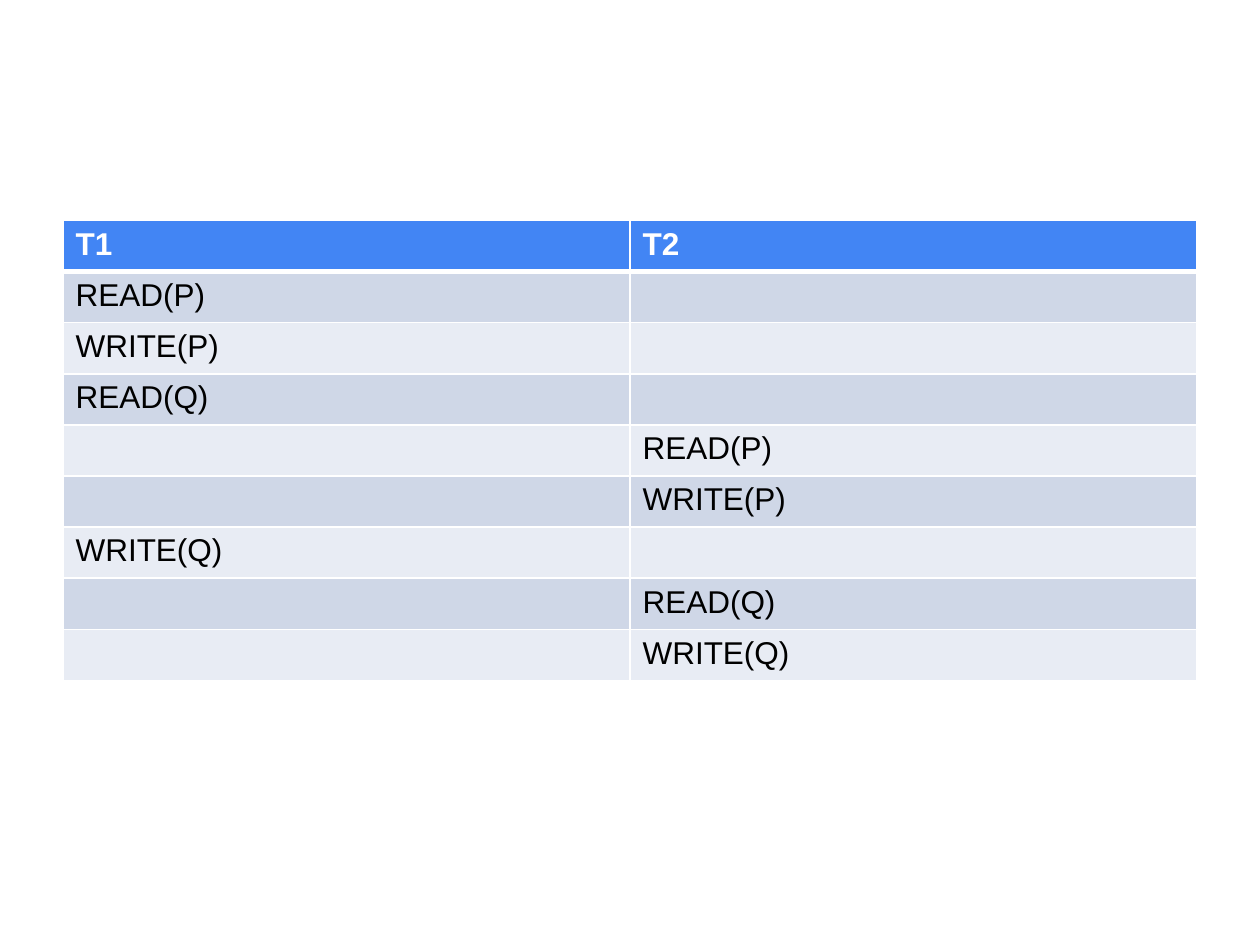
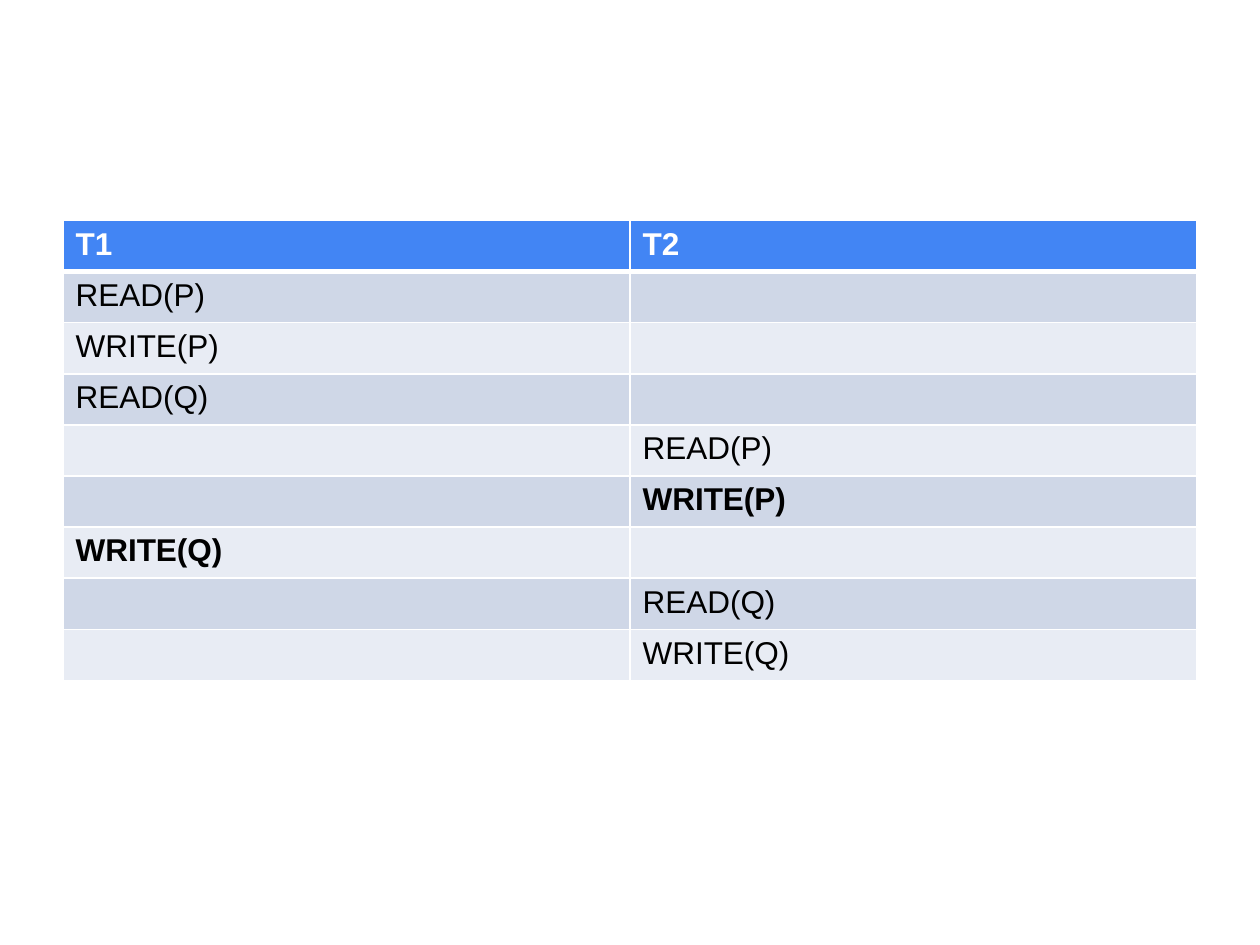
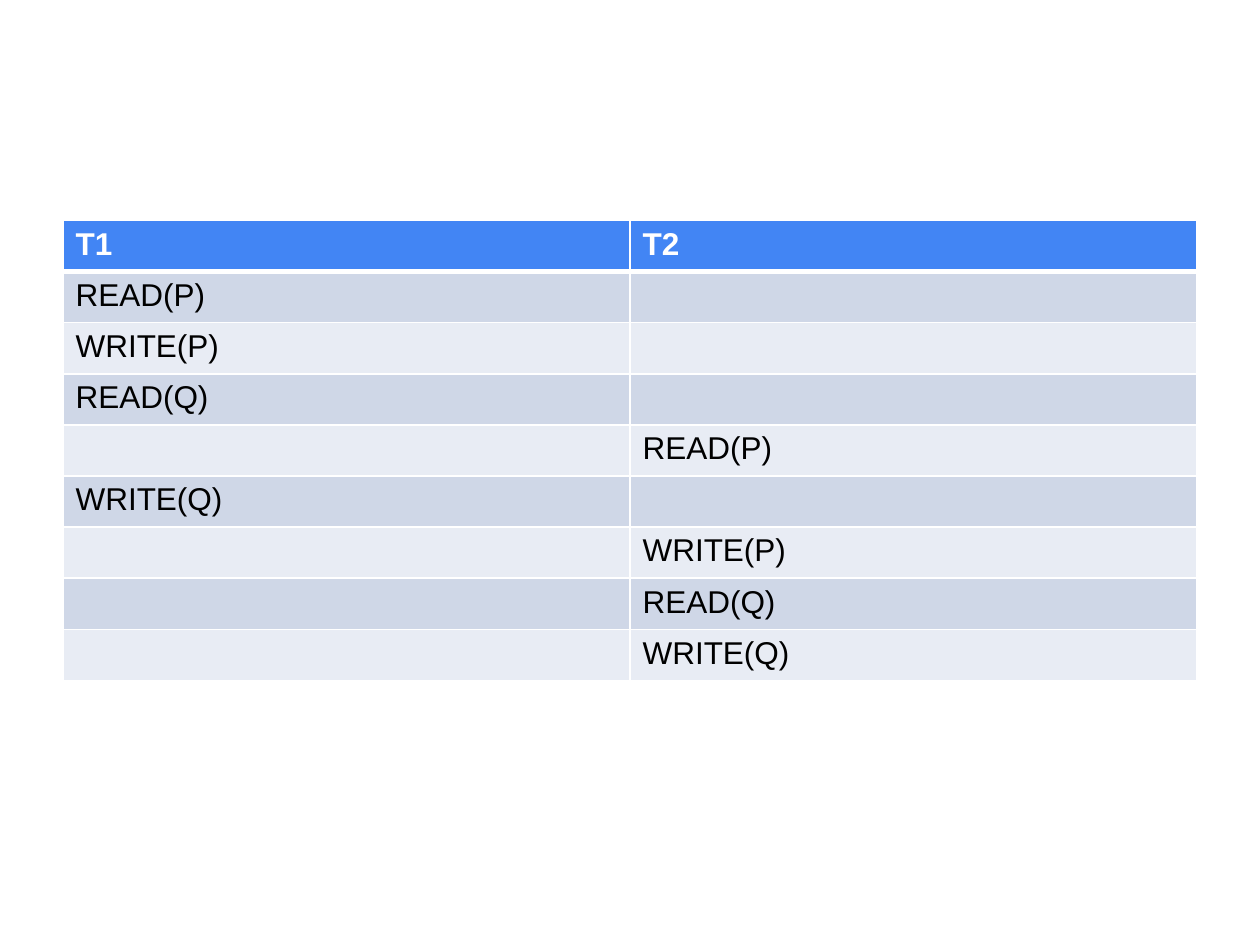
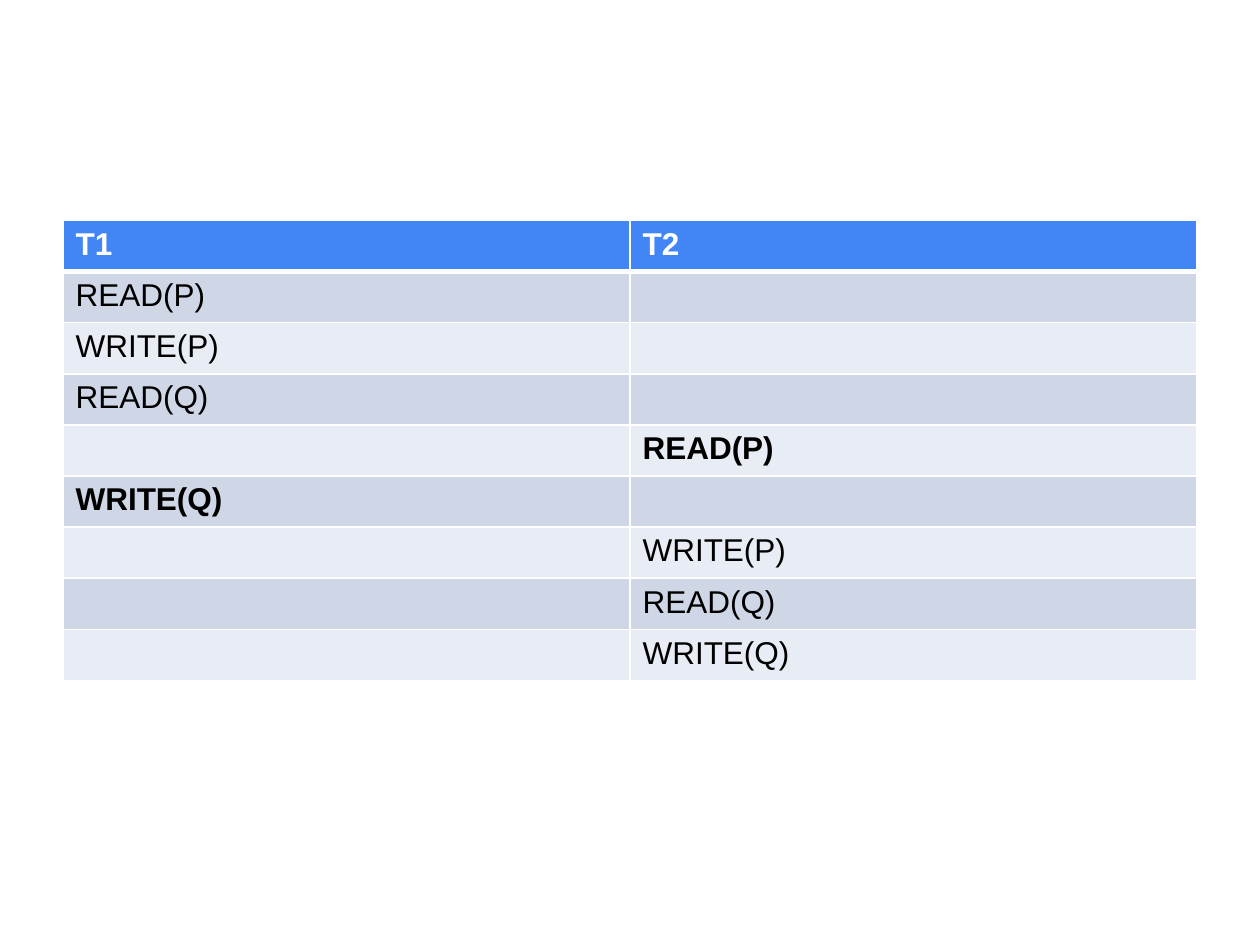
from lxml import etree
from pptx import Presentation
from pptx import util as u
from pptx.dml import color
from pptx.oxml import ns

COLOURS = {
    "header": "4285F4",
    "odd_row": "CFD7E7",
    "even_row": "E8ECF4",
    "border": "FFFFFF",
    "header_text": "FFFFFF",
    "body_text": "000000",
}
FONT = "Arial"
GRID_COLUMNS, GRID_ROWS = 40, 30
TABLE_BOX = (2, 7, 36, 14.6)
THIN, THICK = 1, 3
TRANSACTIONS = ("T1", "T2")

OPENING = [("T1", "READ(P)"), ("T1", "WRITE(P)"), ("T1", "READ(Q)"), ("T2", "READ(P)")]
CLOSING = [("T2", "READ(Q)"), ("T2", "WRITE(Q)")]
BEFORE_SWAP = OPENING + [("T2", "WRITE(P)"), ("T1", "WRITE(Q)")] + CLOSING
AFTER_SWAP = OPENING + [("T1", "WRITE(Q)"), ("T2", "WRITE(P)")] + CLOSING
SCHEDULES = [
    (BEFORE_SWAP, ()),
    (BEFORE_SWAP, (5, 6)),
    (AFTER_SWAP, ()),
    (AFTER_SWAP, (4, 5)),
]


def rgb(name):
    """Return the palette colour with the given name."""
    return color.RGBColor.from_string(COLOURS[name])


def grid_box(deck, box):
    """Turn grid columns and rows into slide lengths."""
    column, row = deck.slide_width / GRID_COLUMNS, deck.slide_height / GRID_ROWS
    return [u.Emu(round(share * unit)) for share, unit in zip(box, (column, row) * 2)]


def draw_borders(cell, top, bottom):
    """Rule the four sides of a cell, with widths in points for top and bottom."""
    properties = cell._tc.get_or_add_tcPr()
    for side, width in (("L", THIN), ("R", THIN), ("T", top), ("B", bottom)):
        line = etree.SubElement(properties, ns.qn(f"a:ln{side}"), w=str(u.Pt(width)))
        fill = etree.SubElement(line, ns.qn("a:solidFill"))
        etree.SubElement(fill, ns.qn("a:srgbClr"), val=COLOURS["border"])


def fill_cell(cell, row, words, bold):
    """Style one cell by its row and write its words."""
    header = row == 0
    draw_borders(cell, THICK if row == 1 else THIN, THICK if header else THIN)
    cell.fill.solid()
    cell.fill.fore_color.rgb = rgb("header" if header else "odd_row" if row % 2 else "even_row")
    cell.margin_left = cell.margin_right = u.Inches(0.1)
    cell.margin_top = cell.margin_bottom = u.Inches(0.05)
    if words:
        span = cell.text_frame.paragraphs[0].add_run()
        span.text = words
        span.font.name = FONT
        span.font.size = u.Pt(18)
        span.font.bold = bold
        span.font.color.rgb = rgb("header_text" if header else "body_text")


def add_schedule(page, box, steps, bold_steps):
    """Place a schedule table in the box, with one row for each step."""
    left, top, width, height = box
    row_count = len(steps) + 1
    table = page.shapes.add_table(row_count, len(TRANSACTIONS), left, top, width, height).table
    table.horz_banding = False
    for table_row in table.rows:
        table_row.height = height // row_count
    for column, transaction in enumerate(TRANSACTIONS):
        table.columns[column].width = width // len(TRANSACTIONS)
        fill_cell(table.cell(0, column), 0, transaction, True)
        for row, (owner, operation) in enumerate(steps, 1):
            words = operation if owner == transaction else ""
            fill_cell(table.cell(row, column), row, words, row in bold_steps)


def main():
    """Build the deck of schedules and save it."""
    deck = Presentation()
    deck.slide_width, deck.slide_height = u.Inches(10), u.Inches(7.5)
    for steps, bold_steps in SCHEDULES:
        page = deck.slides.add_slide(deck.slide_layouts[6])
        add_schedule(page, grid_box(deck, TABLE_BOX), steps, bold_steps)
    deck.save("out.pptx")


if __name__ == "__main__":
    main()
